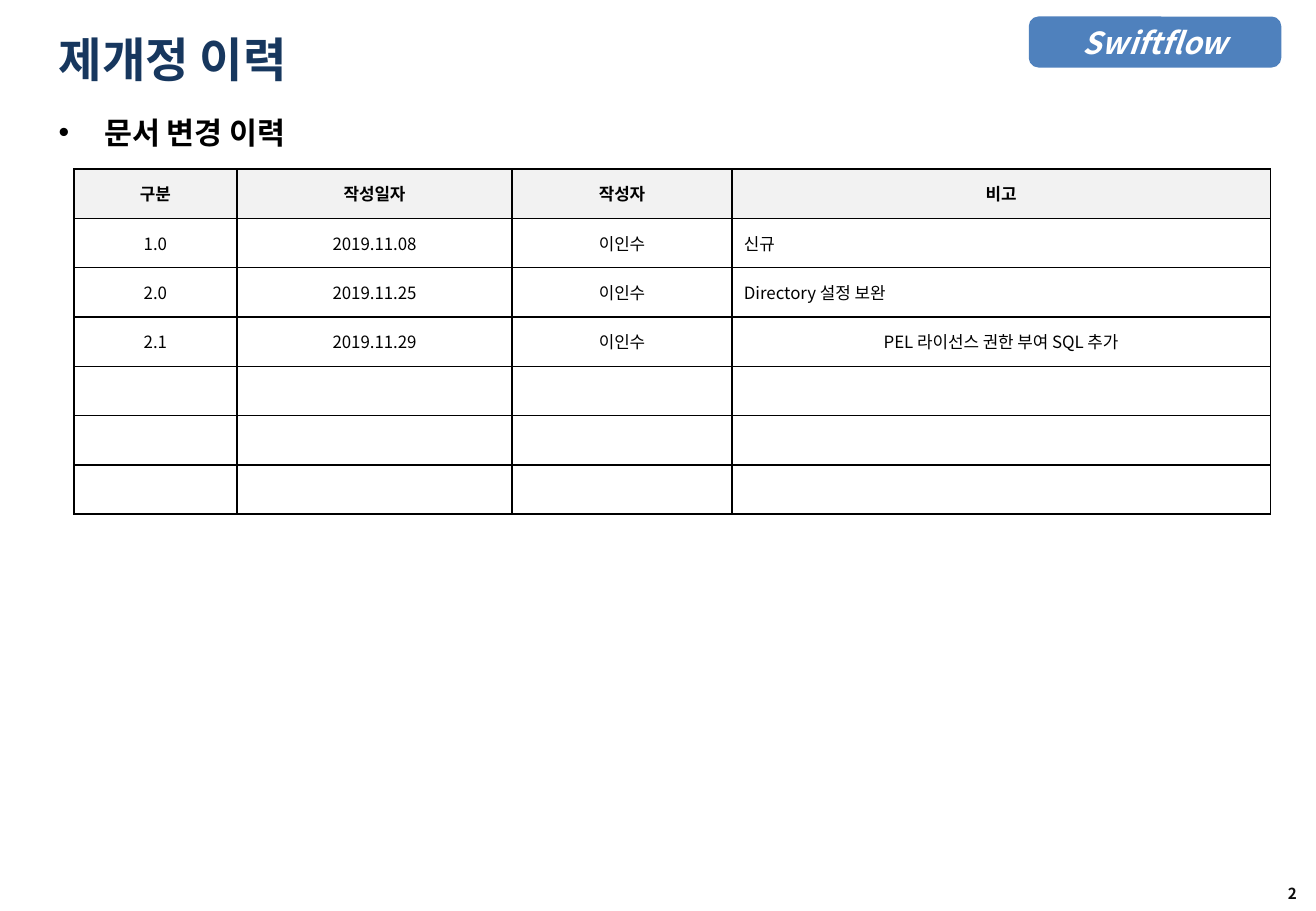
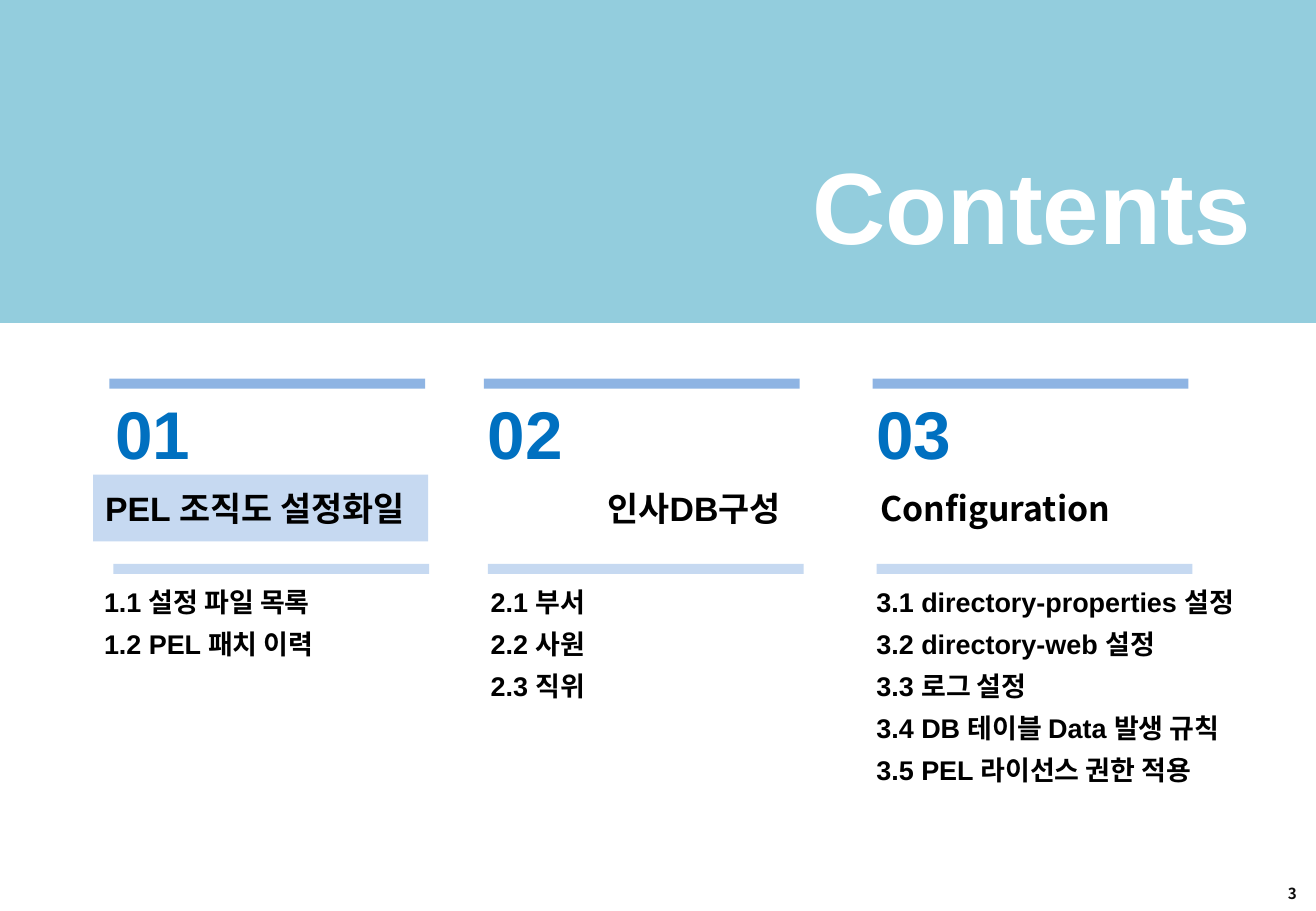
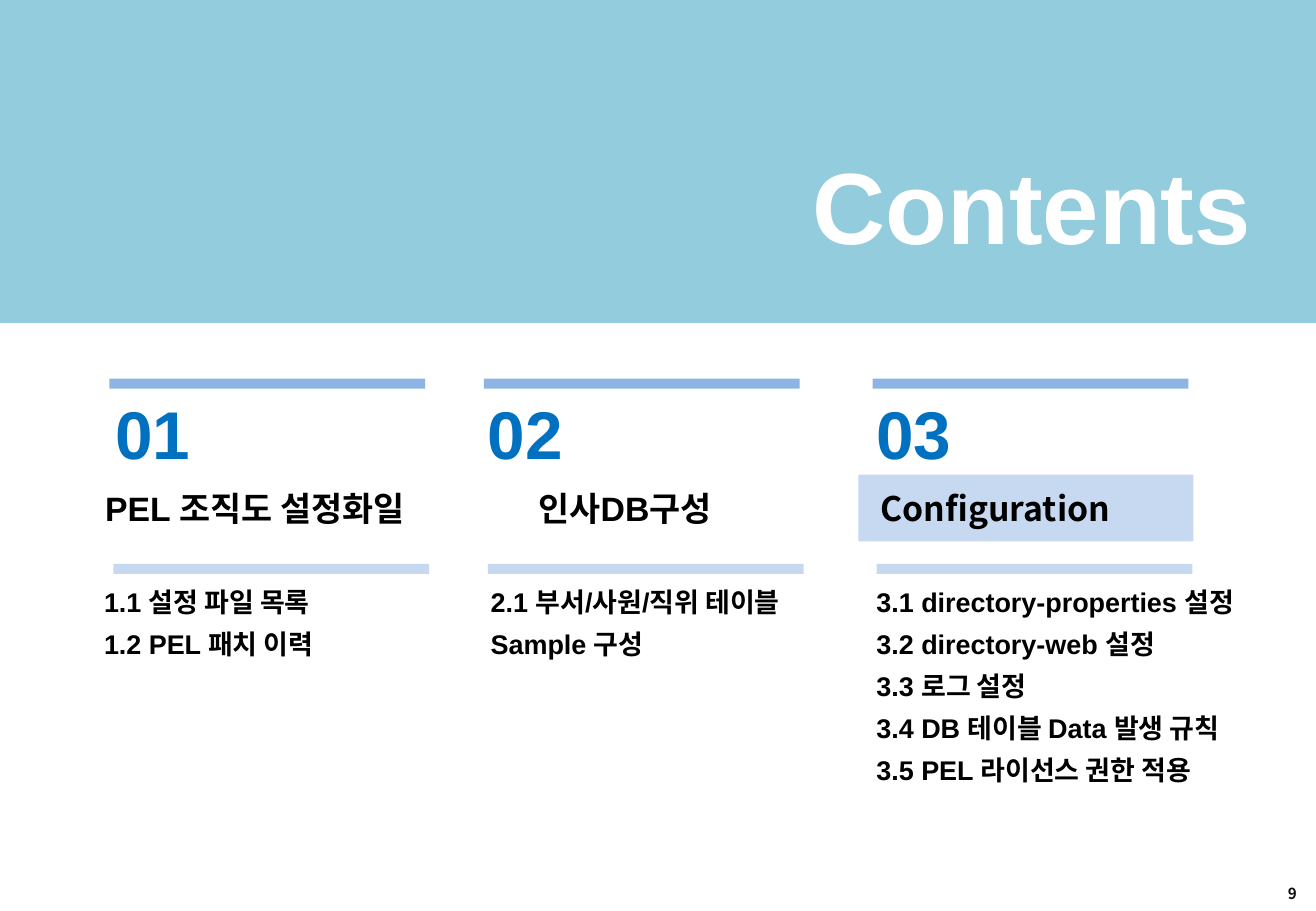
from dataclasses import dataclass, replace

from lxml import etree
from pptx import Presentation
from pptx.dml.color import RGBColor
from pptx.enum.shapes import MSO_SHAPE
from pptx.enum.text import MSO_ANCHOR, MSO_AUTO_SIZE, PP_ALIGN
from pptx.oxml.ns import qn
from pptx.slide import Slide
from pptx.text.text import TextFrame
from pptx.util import Emu, Pt

LEFT, MID, RIGHT = PP_ALIGN.LEFT, PP_ALIGN.CENTER, PP_ALIGN.RIGHT
TOP, CENTER = MSO_ANCHOR.TOP, MSO_ANCHOR.MIDDLE
RECT, ROUND = MSO_SHAPE.RECTANGLE, MSO_SHAPE.ROUNDED_RECTANGLE
FIT = MSO_AUTO_SIZE.NONE

SCALE = 7620  # EMU per px, 120 px to the inch
WIDE, HIGH = 1300, 900
SANS, HAN = "Arial", "Noto Sans CJK KR"
HEX = {
    "black": "000000", "white": "FFFFFF", "page": "0D0D0D",
    "navy": "17375E", "blue": "0070C0", "badge": "4F81BD",
    "band": "93CDDD", "bar": "8EB4E3", "pale": "C6D9F1", "head": "F2F2F2",
}


@dataclass(frozen=True)
class Box:
    x: int
    y: int
    w: int
    h: int

    def emu(self) -> tuple[Emu, ...]:
        return tuple(px(n) for n in (self.x, self.y, self.w, self.h))


@dataclass(frozen=True)
class Style:
    size: float
    color: str = "black"
    font: str = SANS
    bold: bool = True
    italic: bool = False
    align: PP_ALIGN = LEFT
    space: float = 1.0


@dataclass(frozen=True)
class Topic:
    num: str
    bar: int
    num_x: int
    head: str
    head_x: int
    head_w: int
    style: Style
    list_x: int
    list_w: int
    items: tuple[str, ...]


TITLE = Style(28, "navy", HAN)
COVER = Style(60, "white", align=RIGHT)
BADGE = Style(18, "white", HAN, italic=True, align=MID)
PAGE = Style(9, "page", HAN, align=RIGHT)
SUB = Style(18, font=HAN, space=1.1)
CELL = Style(10, font=HAN, bold=False, align=MID)
NUM, HEAD, ITEM = Style(40, "blue"), Style(20), Style(16, space=1.3)

COLS = (161, 272, 217, 532)
ROWS = (
    ("구분", "작성일자", "작성자", "비고"),
    ("1.0", "2019.11.08", "이인수", "신규"),
    ("2.0", "2019.11.25", "이인수", "Directory 설정 보완"),
    ("2.1", "2019.11.29", "이인수", "PEL 라이선스 권한 부여 SQL 추가"),
    ("",) * 4, ("",) * 4, ("",) * 4,
)
LEFT_CELLS = {(1, 3), (2, 3)}

FILES = Topic("01", 108, 102, "PEL 조직도 설정화일", 92, 349, HEAD, 91, 319,
              ("1.1 설정 파일 목록", "1.2 PEL 패치 이력"))
STAFF = Topic("02", 478, 470, "인사DB구성", 424, 359,
              replace(HEAD, align=RIGHT), 473, 358,
              ("2.1 부서", "2.2 사원", "2.3 직위"))
SAMPLE = replace(STAFF, head_x=438, style=replace(HEAD, align=MID),
                 items=("2.1 부서/사원/직위 테이블", "Sample 구성"))
CONFIG = Topic("03", 862, 854, "Configuration", 858, 349,
               replace(HEAD, font=HAN), 854, 409,
               ("3.1 directory-properties 설정", "3.2 directory-web 설정",
                "3.3 로그 설정", "3.4 DB 테이블 Data 발생 규칙",
                "3.5 PEL 라이선스 권한 적용"))


def px(n: int) -> Emu:
    return Emu(n * SCALE)


def rgb(name: str) -> RGBColor:
    return RGBColor.from_string(HEX[name])


def write(frame: TextFrame, lines: tuple[str, ...], style: Style) -> None:
    for i, line in enumerate(lines):
        para = frame.add_paragraph() if i else frame.paragraphs[0]
        para.alignment = style.align
        para.line_spacing = style.space
        run = para.add_run()
        run.text = line
        font = run.font
        font.name, font.size = style.font, Pt(style.size)
        font.bold, font.italic = style.bold, style.italic
        font.color.rgb = rgb(style.color)
        # Korean glyphs share one face
        east = etree.SubElement(font._element, qn("a:ea"))
        east.set("typeface", HAN)


def setup(frame: TextFrame, anchor: MSO_ANCHOR) -> None:
    frame.word_wrap = True
    frame.auto_size = FIT
    frame.vertical_anchor = anchor


def label(slide: Slide, box: Box, lines: tuple[str, ...], style: Style,
          anchor: MSO_ANCHOR = CENTER) -> TextFrame:
    frame = slide.shapes.add_textbox(*box.emu()).text_frame
    setup(frame, anchor)
    write(frame, lines, style)
    return frame


def block(slide: Slide, box: Box, color: str, kind: MSO_SHAPE = RECT):
    shape = slide.shapes.add_shape(kind, *box.emu())
    shape.shadow.inherit = False
    shape.fill.solid()
    shape.fill.fore_color.rgb = rgb(color)
    shape.line.fill.background()
    return shape


def title(slide: Slide, box: Box, text: str, style: Style) -> None:
    shape = slide.shapes.title
    shape.left, shape.top, shape.width, shape.height = box.emu()
    setup(shape.text_frame, CENTER)
    write(shape.text_frame, (text,), style)
    # Bring the title in front of the band
    slide.shapes.element.append(shape.element)


def start(deck: Presentation, page: int) -> Slide:
    slide = deck.slides.add_slide(deck.slide_layouts[5])
    frame = label(slide, Box(991, 858, 304, 49), (str(page),), PAGE)
    frame.margin_left = frame.margin_right = px(14)
    frame.margin_top = frame.margin_bottom = px(7)
    return slide


def border(cell) -> None:
    props = cell._tc.get_or_add_tcPr()
    for i, side in enumerate(("lnL", "lnR", "lnT", "lnB")):
        line = etree.Element(qn(f"a:{side}"), w=str(Pt(1)))
        fill = etree.SubElement(line, qn("a:solidFill"))
        etree.SubElement(fill, qn("a:srgbClr"), val=HEX["black"])
        props.insert(i, line)


def grid(slide: Slide, box: Box) -> None:
    table = slide.shapes.add_table(len(ROWS), len(COLS), *box.emu()).table
    table.first_row = table.horz_banding = False
    for col, wide in zip(table.columns, COLS):
        col.width = px(wide)
    for r, texts in enumerate(ROWS):
        table.rows[r].height = Emu(px(box.h) // len(ROWS))
        for c, text in enumerate(texts):
            cell = table.cell(r, c)
            cell.vertical_anchor = CENTER
            cell.margin_top = cell.margin_bottom = 0
            if r == 0:
                cell.fill.solid()
                cell.fill.fore_color.rgb = rgb("head")
            else:
                cell.fill.background()
            border(cell)
            if text:
                align = LEFT if (r, c) in LEFT_CELLS else MID
                style = replace(CELL, bold=r == 0, align=align)
                write(cell.text_frame, (text,), style)


def history(deck: Presentation) -> None:
    slide = start(deck, 2)
    # Badge
    badge = block(slide, Box(1018, 18, 246, 47), "badge", ROUND)
    badge.line.color.rgb = rgb("badge")
    badge.line.width = Pt(2)
    setup(badge.text_frame, CENTER)
    write(badge.text_frame, ("Swiftflow",), BADGE)
    title(slide, Box(46, 25, 1170, 66), "제개정 이력", TITLE)
    # Bulleted heading
    frame = label(slide, Box(46, 103, 1189, 54), ("문서 변경 이력",), SUB, TOP)
    para = frame.paragraphs[0]
    para.space_before = Pt(5.4)
    props = para._p.get_or_add_pPr()
    props.set("marL", str(px(45)))
    props.set("indent", str(px(-45)))
    etree.SubElement(props, qn("a:buFont"), typeface=SANS)
    etree.SubElement(props, qn("a:buChar"), char="•")
    grid(slide, Box(73, 167, sum(COLS), 341))


def contents(deck: Presentation, page: int, topics: tuple[Topic, ...],
             mark: int) -> None:
    slide = start(deck, page)
    # Marked topic and top band
    block(slide, Box(mark, 469, 331, 66), "pale")
    block(slide, Box(0, 0, WIDE, 319), "band")
    for t in topics:
        block(slide, Box(t.bar, 374, 312, 10), "bar")
        label(slide, Box(t.num_x, 394, 142, 66), (t.num,), NUM)
        label(slide, Box(t.head_x, 469, t.head_w, 66), (t.head,), t.style)
        label(slide, Box(t.list_x, 563, t.list_w, 227), t.items, ITEM, TOP)
        block(slide, Box(t.bar + 4, 557, 312, 10), "pale")
    title(slide, Box(78, 169, 1170, 66), "Contents", COVER)


def main() -> None:
    deck = Presentation()
    deck.slide_width, deck.slide_height = px(WIDE), px(HIGH)
    history(deck)
    contents(deck, 3, (FILES, STAFF, CONFIG), 92)
    contents(deck, 9, (FILES, SAMPLE, CONFIG), 848)
    deck.save("out.pptx")


if __name__ == "__main__":
    main()
